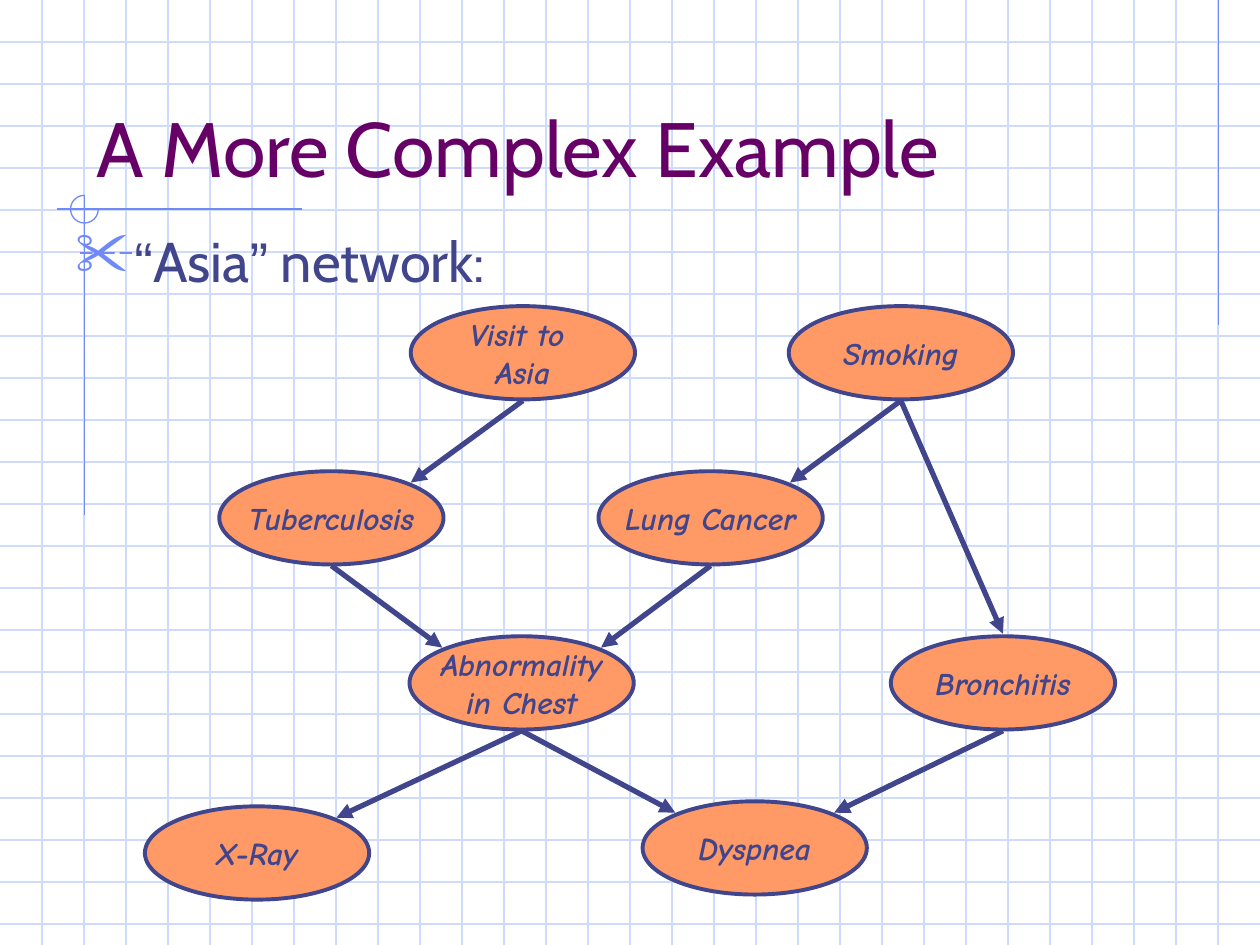
from dataclasses import dataclass
from lxml import etree
from pptx import Presentation
from pptx.dml.color import RGBColor
from pptx.enum.shapes import MSO_CONNECTOR, MSO_SHAPE
from pptx.enum.text import MSO_ANCHOR, PP_ALIGN
from pptx.oxml.ns import qn
from pptx.util import Inches, Pt


@dataclass(frozen=True)
class Theme:
    grid: str = "CFDBFD"
    accent: str = "6F89F7"
    title: str = "660066"
    ink: str = "40458C"
    node: str = "FF9966"
    heading_font: str = "Cabin"
    quote_font: str = "Arial"
    node_font: str = "Comic Neue"
    title_size: int = 44
    body_size: int = 32
    node_size: int = 18
    thin: float = 0.75
    outline: float = 2.25
    arrow: float = 3


THEME = Theme()
SLIDE_W, SLIDE_H = 10, 7.5
NODE_W, NODE_H = 1.78, 0.74
NODES = {
    "Visit to \nAsia": (3.26, 2.43),
    "Smoking": (6.26, 2.43),
    "Lung Cancer": (4.75, 3.74),
    "Tuberculosis": (1.74, 3.74),
    "Abnormality\nin Chest": (3.25, 5.05),
    "Bronchitis": (7.07, 5.05),
    "X-Ray": (1.15, 6.4),
    "Dyspnea": (5.1, 6.36),
}
EDGES = [
    ("Visit to \nAsia", "Tuberculosis", "right"),
    ("Tuberculosis", "Abnormality\nin Chest", "left"),
    ("Lung Cancer", "Abnormality\nin Chest", "right"),
    ("Abnormality\nin Chest", "X-Ray", "right"),
    ("Abnormality\nin Chest", "Dyspnea", "left"),
    ("Bronchitis", "Dyspnea", "right"),
    ("Smoking", "Lung Cancer", "right"),
    ("Smoking", "Bronchitis", "top"),
]
ENTRY = {
    "left": (0.26, 0.09),
    "right": (NODE_W - 0.26, 0.09),
    "top": (NODE_W / 2, -0.02),
}


def rgb(value):
    return RGBColor.from_string(value)


def style_font(font, name, size, color):
    font.name = name
    font.size = Pt(size)
    font.color.rgb = rgb(color)


def add_line(slide, start, end, color, width, arrow=False):
    line = slide.shapes.add_connector(
        MSO_CONNECTOR.STRAIGHT, *map(Inches, (*start, *end))
    )
    line.line.color.rgb = rgb(color)
    line.line.width = Pt(width)
    properties = line._element.spPr
    if arrow:
        etree.SubElement(properties.find(qn("a:ln")), qn("a:tailEnd"), type="triangle")
    etree.SubElement(properties, qn("a:effectLst"))


def add_text(slide, box, anchor):
    frame = slide.shapes.add_textbox(*map(Inches, box)).text_frame
    frame.word_wrap = True
    frame.vertical_anchor = anchor
    return frame


def add_grid(slide, width, height, step=1 / 3):
    for row in range(1, int(height / step) + 1):
        y = row * step
        add_line(slide, (0, y), (width, y), THEME.grid, THEME.thin)
    for column in range(1, round(width / step)):
        x = column * step
        add_line(slide, (x, 0), (x, height), THEME.grid, THEME.thin)


def add_drafting_marks(slide, x, y, radius):
    marks = [
        ((9.67, 0), (9.67, 2.58)),
        ((x + 1.73, y), (x - 0.22, y)),
        ((x, y - 0.11), (x, y + 2.43)),
    ]
    for start, end in marks:
        add_line(slide, start, end, THEME.accent, THEME.thin)
    arc = slide.shapes.add_shape(
        MSO_SHAPE.ARC,
        *map(Inches, (x - radius, y - radius, 2 * radius, 2 * radius)),
    )
    arc.adjustments[0] = 0
    arc.adjustments[1] = 162
    arc.shadow.inherit = False
    arc.fill.background()
    arc.line.color.rgb = rgb(THEME.accent)
    arc.line.width = Pt(THEME.thin)


def add_title(slide, box):
    heading = add_text(slide, box, MSO_ANCHOR.BOTTOM)
    heading.text = "A More Complex Example"
    style_font(
        heading.paragraphs[0].runs[0].font,
        THEME.heading_font, THEME.title_size, THEME.title,
    )


def add_body(slide, box):
    topic = add_text(slide, box, MSO_ANCHOR.TOP).paragraphs[0]
    properties = topic._p.get_or_add_pPr()
    properties.set("marL", str(Inches(0.38)))
    properties.set("indent", str(Inches(-0.38)))
    bullet_color = etree.SubElement(properties, qn("a:buClr"))
    etree.SubElement(bullet_color, qn("a:srgbClr"), val=THEME.accent)
    etree.SubElement(properties, qn("a:buSzPct"), val="110000")
    etree.SubElement(properties, qn("a:buChar"), char="✂")
    pieces = [
        ("“", THEME.quote_font),
        ("Asia", THEME.heading_font),
        ("”", THEME.quote_font),
        (" network:", THEME.heading_font),
    ]
    for words, font_name in pieces:
        run = topic.add_run()
        run.text = words
        style_font(run.font, font_name, THEME.body_size, THEME.ink)


def add_node(slide, label, box):
    node = slide.shapes.add_shape(MSO_SHAPE.OVAL, *map(Inches, box))
    node.shadow.inherit = False
    node.fill.solid()
    node.fill.fore_color.rgb = rgb(THEME.node)
    node.line.color.rgb = rgb(THEME.ink)
    node.line.width = Pt(THEME.outline)
    frame = node.text_frame
    frame.word_wrap = False
    frame.vertical_anchor = MSO_ANCHOR.MIDDLE
    frame.text = label
    for paragraph in frame.paragraphs:
        paragraph.alignment = PP_ALIGN.CENTER
        font = paragraph.runs[0].font
        style_font(font, THEME.node_font, THEME.node_size, THEME.ink)
        font.bold = font.italic = True


def add_network(slide, nodes, edges):
    for label, (left, top) in nodes.items():
        add_node(slide, label, (left, top, NODE_W, NODE_H))
    for parent, child, side in edges:
        left, top = nodes[parent]
        child_left, child_top = nodes[child]
        dx, dy = ENTRY[side]
        add_line(
            slide,
            (left + NODE_W / 2, top + NODE_H + 0.01),
            (child_left + dx, child_top + dy),
            THEME.ink, THEME.arrow, arrow=True,
        )


def main():
    deck = Presentation()
    deck.slide_width, deck.slide_height = Inches(SLIDE_W), Inches(SLIDE_H)
    slide = deck.slides.add_slide(deck.slide_layouts[6])
    add_grid(slide, SLIDE_W, SLIDE_H)
    add_drafting_marks(slide, 0.67, 1.66, 0.11)
    add_title(slide, (0.67, 0.33, 8.5, 1.25))
    add_network(slide, NODES, EDGES)
    add_body(slide, (0.5, 1.75, 8.5, 4.5))
    deck.save("out.pptx")


if __name__ == "__main__":
    main()
